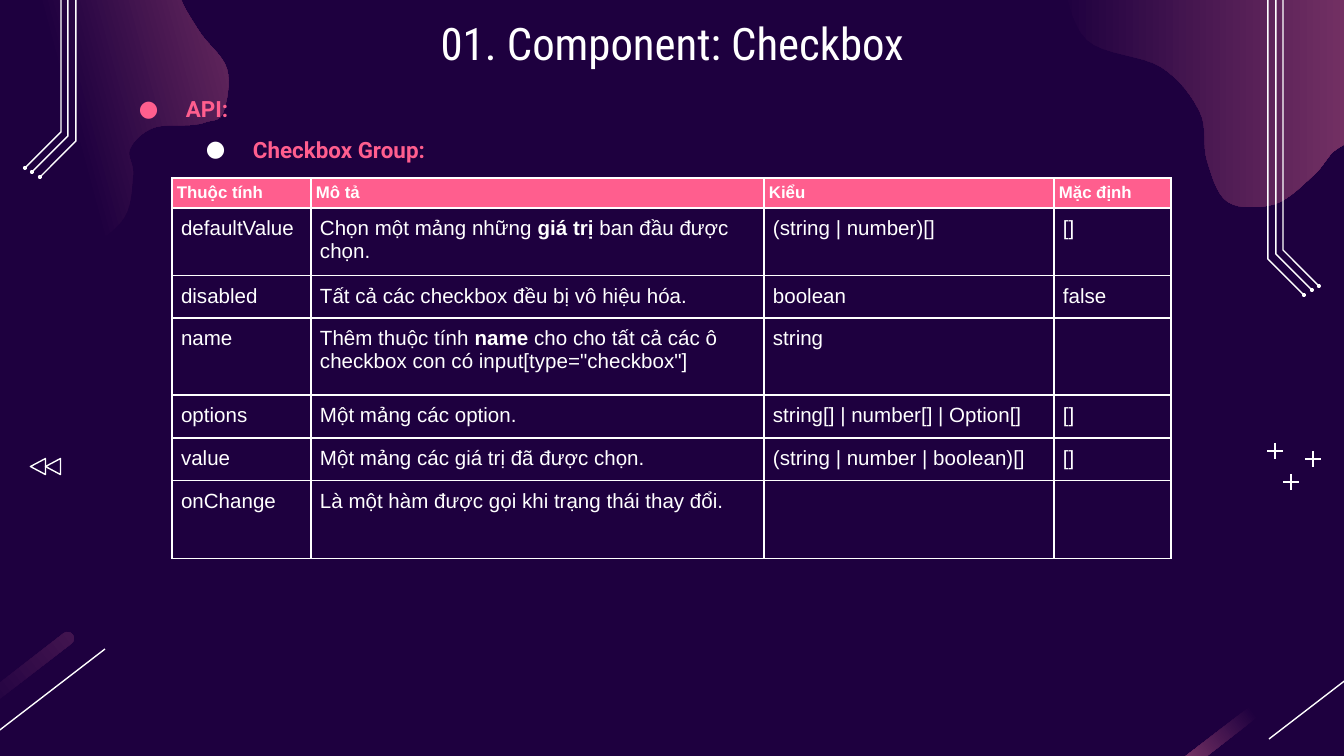
from collections import namedtuple
from dataclasses import dataclass

from lxml import etree
from pptx import Presentation
from pptx import util as u
from pptx.dml.color import RGBColor
from pptx.enum import shapes, text
from pptx.oxml import ns

PX = 6804
Box = namedtuple("Box", "x y w h")


@dataclass(frozen=True)
class Theme:
    night: str = "1E003F"
    glow: str = "A64D79"
    dim_glow: str = "431550"
    pink: str = "FF5E8E"
    white: str = "FFFFFF"
    title_font: str = "Roboto Condensed"
    outline_font: str = "Roboto"
    table_font: str = "Arial"
    title_size: int = 24
    outline_size: int = 12
    header_size: int = 9
    body_size: int = 11
    hairline: float = 0.75
    border: float = 1


T = Theme()

LEFT_BLOB = [
    (327, 458), (383, 425), (395, 379), (392, 352), (415, 331), (453, 328), (468, 325), (485, 316),
    (489, 272), (461, 234), (441, 194), (454, 161), (476, 151), (517, 148), (568, 145), (601, 125),
    (609, 86), (575, 23), (486, 0), (356, 75), (335, 82), (199, 93), (140, 104), (90, 121),
    (28, 163), (1, 233), (52, 311), (144, 336), (200, 345), (245, 382), (258, 426)]
RIGHT_BLOB = [
    (452, 250), (425, 152), (362, 96), (269, 86), (189, 47), (146, 9), (85, 7), (41, 26),
    (6, 94), (0, 148), (2, 175), (27, 239), (101, 266), (140, 311), (147, 359), (168, 401),
    (215, 403), (254, 374), (277, 348), (308, 341), (354, 384), (441, 317)]

COLUMNS = [139, 453, 290, 117]
ROWS = [30, 64, 42, 77, 42, 41, 78]
HEADER = ["Thuộc tính", "Mô tả", "Kiểu", "Mặc định"]
PROPS = [
    ("defaultValue", ["Chọn một mảng những ", "giá trị", " ban đầu được chọn."], "(string | number)[]", "[]"),
    ("disabled", ["Tất cả các checkbox đều bị vô hiệu hóa."], "boolean", "false"),
    ("name", ["Thêm thuộc tính ", "name",
              " cho cho tất cả các ô checkbox con có input[type=\"checkbox\"]"], "string", ""),
    ("options", ["Một mảng các option."], "string[] | number[] | Option[]", "[]"),
    ("value", ["Một mảng các giá trị đã được chọn."], "(string | number | boolean)[]", "[]"),
    ("onChange", ["Là một hàm được gọi khi trạng thái thay đổi."], "", ""),
]


def rgb(color):
    return RGBColor.from_string(color)


def emu(*lengths):
    return [round(length * PX) for length in lengths]


def sub(parent, tag, **attrs):
    return etree.SubElement(parent, ns.qn(tag), {k: str(v) for k, v in attrs.items()})


def outline(part):
    part.line.color.rgb = rgb(T.white)
    part.line.width = u.Pt(T.hairline)


def glow(part, start, angle, color):
    part.shadow.inherit = False
    part.line.fill.background()
    part.fill.gradient()
    part.fill.gradient_angle = angle
    for stop, position, shade in zip(part.fill.gradient_stops, (start, 1), (T.night, color)):
        stop.position = position
        stop.color.rgb = rgb(shade)


def write(paragraph, words, font, size, color, bold=False):
    run = paragraph.add_run()
    run.text = words
    run.font.name = font
    run.font.size = u.Pt(size)
    run.font.bold = bold
    run.font.color.rgb = rgb(color)


def stroke(slide, x1, y1, x2, y2):
    line = slide.shapes.add_connector(shapes.MSO_CONNECTOR.STRAIGHT, *emu(x1, y1, x2, y2))
    outline(line)
    sub(line._element.spPr, "a:effectLst")


def polygon(slide, box, points, close):
    points = [emu(box.x + x, box.y + y) for x, y in points]
    builder = slide.shapes.build_freeform(*points[0], scale=1.0)
    builder.add_line_segments(points[1:], close=close)
    part = builder.convert_to_shape()
    part.shadow.inherit = False
    return part


def smooth_loop(anchors, steps=8):
    count = len(anchors)
    curve = []
    for i in range(count):
        a, b, c, d = (anchors[(i + k) % count] for k in (-1, 0, 1, 2))
        for t in (step / steps for step in range(steps)):
            curve.append([
                q + (r - p) * t / 2 + (2 * p - 5 * q + 4 * r - s) * t**2 / 2
                + (3 * q - p - 3 * r + s) * t**3 / 2
                for p, q, r, s in zip(a, b, c, d)])
    return curve


def blob(slide, box, anchors, start, angle):
    glow(polygon(slide, box, smooth_loop(anchors), True), start, angle, T.glow)


def comet(slide, box, angle, color):
    tail = slide.shapes.add_shape(
        shapes.MSO_SHAPE.ROUNDED_RECTANGLE, *emu(box.x - 33, box.y + 73, 252, 13))
    tail.adjustments[0] = 0.5
    tail.rotation = -37.7
    glow(tail, 0.5, angle, color)
    stroke(slide, box.x + 225, box.y + 17, box.x + 108, box.y + 107)


def circuit(slide, box, mirrored):
    for x, elbow in ((36, 410), (43, 414), (51, 419)):
        tip = x - 36, elbow + 36
        track = [(x, 0), (x, elbow), tip]
        if mirrored:
            track = [(box.w - px, py) for px, py in track]
        trace = polygon(slide, box, track, False)
        trace.fill.background()
        outline(trace)
        end_x, end_y = track[-1]
        node = slide.shapes.add_shape(
            shapes.MSO_SHAPE.OVAL, *emu(box.x + end_x - 2, box.y + end_y - 2, 4, 4))
        node.shadow.inherit = False
        node.fill.solid()
        node.fill.fore_color.rgb = rgb(T.white)
        node.line.fill.background()


def pluses(slide, box):
    for x, y in ((24, 39), (46, 16), (8, 8)):
        cx, cy = box.x + x, box.y + y
        stroke(slide, cx - 8, cy, cx + 8, cy)
        stroke(slide, cx, cy - 8, cx, cy + 8)


def rewind(slide, box):
    for i in range(2):
        arrow = slide.shapes.add_shape(
            shapes.MSO_SHAPE.ISOSCELES_TRIANGLE, *emu(box.x + 15 * i, box.y, 16, 15))
        arrow.rotation = 270
        arrow.shadow.inherit = False
        arrow.fill.background()
        outline(arrow)


def text_frame(slide, box, anchor):
    frame = slide.shapes.add_textbox(*emu(*box)).text_frame
    frame.word_wrap = True
    frame.vertical_anchor = anchor
    frame.margin_left = frame.margin_right = frame.margin_top = frame.margin_bottom = 13 * PX
    return frame


def api_outline(slide, box):
    frame = text_frame(slide, box, text.MSO_ANCHOR.TOP)
    for level, (heading, bullet) in enumerate((("API:", T.pink), ("Checkbox Group:", T.white))):
        item = frame.add_paragraph() if level else frame.paragraphs[0]
        item.level = level
        item.line_spacing = 1.5
        props = item._p.get_or_add_pPr()
        props.set("marL", str(67 * (level + 1) * PX))
        props.set("indent", str(-47 * PX))
        sub(sub(props, "a:buClr"), "a:srgbClr", val=bullet)
        sub(props, "a:buFont", typeface=T.outline_font)
        sub(props, "a:buChar", char="●")
        write(item, heading, T.outline_font, T.outline_size, T.pink, True)


def title(slide, box):
    heading = text_frame(slide, box, text.MSO_ANCHOR.MIDDLE).paragraphs[0]
    heading.alignment = text.PP_ALIGN.CENTER
    write(heading, "01. Component: Checkbox", T.title_font, T.title_size, T.white)


def fill_cell(cell, runs, header):
    inset = (5 if header else 9) * PX
    cell.margin_left = cell.margin_right = cell.margin_top = cell.margin_bottom = inset
    for side in ("a:lnL", "a:lnR", "a:lnT", "a:lnB"):
        edge = sub(cell._tc.get_or_add_tcPr(), side, w=u.Pt(T.border))
        sub(sub(edge, "a:solidFill"), "a:srgbClr", val=T.white)
    if header:
        cell.fill.solid()
        cell.fill.fore_color.rgb = rgb(T.pink)
    else:
        cell.fill.background()
    size = T.header_size if header else T.body_size
    for i, words in enumerate(runs):
        if words:
            write(cell.text_frame.paragraphs[0], words, T.table_font, size, T.white, header or i % 2 == 1)


def props_table(slide, box):
    table = slide.shapes.add_table(len(ROWS), len(COLUMNS), *emu(*box)).table
    table.first_row = table.horz_banding = False
    for column, width in zip(table.columns, COLUMNS):
        column.width = width * PX
    for r, (height, entries) in enumerate(zip(ROWS, [HEADER, *PROPS])):
        table.rows[r].height = height * PX
        for c, entry in enumerate(entries):
            fill_cell(table.cell(r, c), [entry] if isinstance(entry, str) else entry, r == 0)


def main():
    deck = Presentation()
    deck.slide_width, deck.slide_height = emu(1344, 756)
    slide = deck.slides.add_slide(deck.slide_layouts[6])
    slide.background.fill.solid()
    slide.background.fill.fore_color.rgb = rgb(T.night)
    blob(slide, Box(-262, -203, 609, 458), LEFT_BLOB, 0.5, 15)
    blob(slide, Box(1060, -199, 452, 403), RIGHT_BLOB, 0, 0)
    comet(slide, Box(-120, 632, 225, 158), 0, T.dim_glow)
    comet(slide, Box(1161, 632, 225, 158), 180, T.glow)
    circuit(slide, Box(1268, -160, 51, 455), True)
    circuit(slide, Box(25, -278, 51, 455), False)
    pluses(slide, Box(1267, 443, 54, 47))
    rewind(slide, Box(30, 459, 31, 15))
    api_outline(slide, Box(106, 69, 1091, 98))
    title(slide, Box(106, 0, 1133, 85))
    props_table(slide, Box(172, 178, sum(COLUMNS), sum(ROWS)))
    deck.save("out.pptx")


if __name__ == "__main__":
    main()
